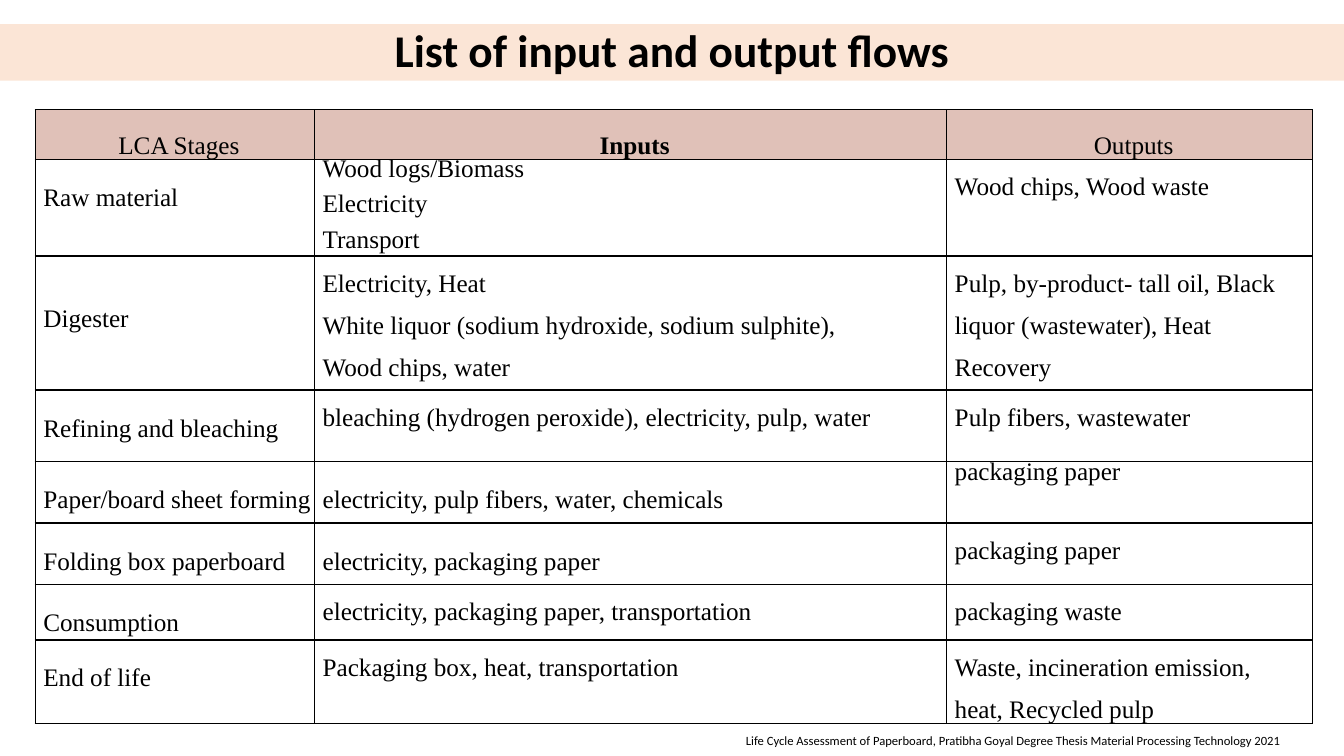
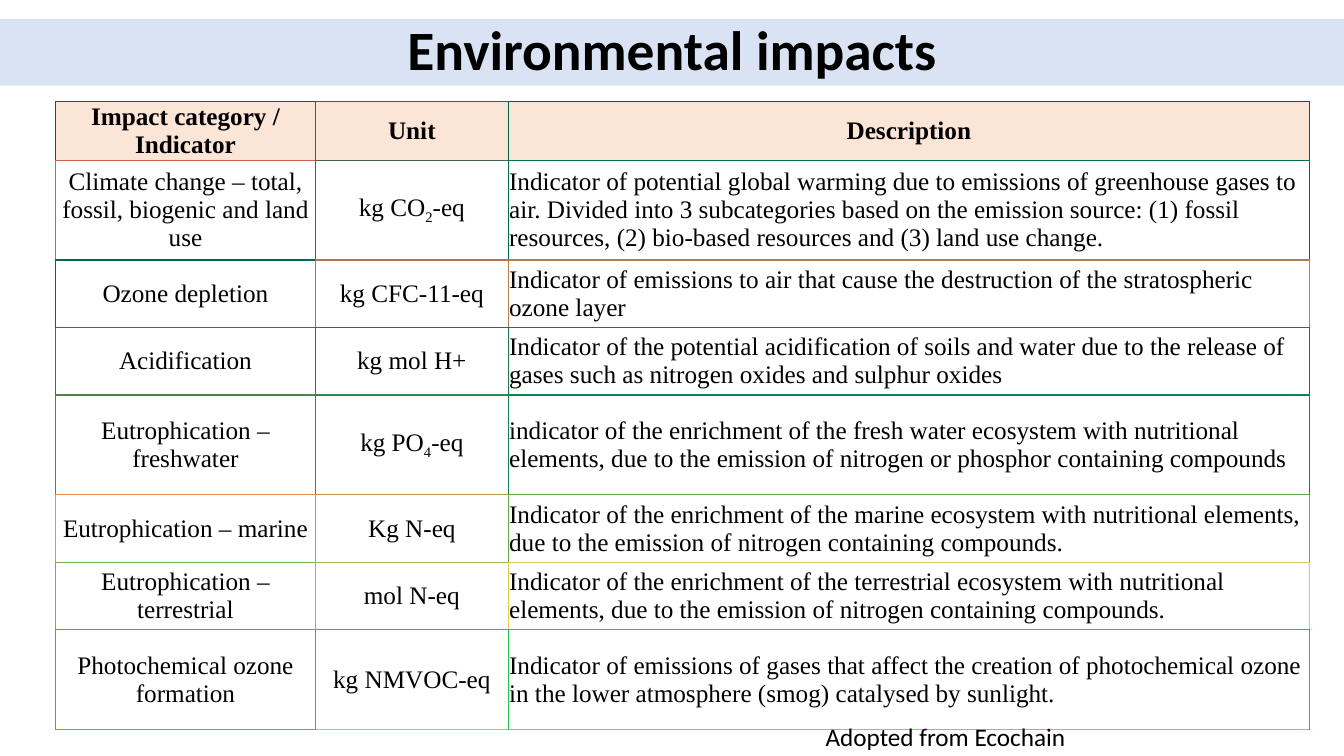
import dataclasses

import lxml.etree
import pptx
import pptx.dml.color
import pptx.enum.text
import pptx.oxml.ns
import pptx.util

Inches = pptx.util.Inches
Align = pptx.enum.text.PP_ALIGN
Anchor = pptx.enum.text.MSO_ANCHOR

BLACK, WHITE = "000000", "FFFFFF"
PEACH, ROSE, PALE_BLUE = "FBE5D6", "E0C1B8", "DAE3F3"
TITLE_FONT, TABLE_FONT = "Calibri", "Times New Roman"


def color(value):
    return pptx.dml.color.RGBColor.from_string(value)


@dataclasses.dataclass
class Entry:
    """Text of one table cell: paragraphs split by line ends, subscripts between underscores."""
    text: str
    spacing: float = 1.5
    top: float = 0
    later_spacing: float = 1.5
    align: Align = Align.LEFT
    bold: bool = False


def lowered(text, top=0.28):
    return Entry(text, 0.84, top)


def heading(text, bold):
    return Entry(text, 0.76, 0.27, align=Align.CENTER, bold=bold)


class Deck:
    def __init__(self):
        self.presentation = pptx.Presentation()
        self.presentation.slide_width = Inches(13.33)
        self.presentation.slide_height = Inches(7.5)
        self.slide = None

    def add_slide(self, title, top, height, size, fill):
        """Start a slide whose title fills a full-width coloured band."""
        layout = self.presentation.slide_layouts[5]
        self.slide = self.presentation.slides.add_slide(layout)
        band = self.slide.shapes.title
        band.left, band.top = Inches(0), Inches(top)
        band.width, band.height = self.presentation.slide_width, Inches(height)
        band.fill.solid()
        band.fill.fore_color.rgb = color(fill)
        frame = band.text_frame
        frame.auto_size = pptx.enum.text.MSO_AUTO_SIZE.NONE
        frame.vertical_anchor = Anchor.MIDDLE
        paragraph = frame.paragraphs[0]
        paragraph.alignment = Align.CENTER
        paragraph.line_spacing = 0.9
        self.add_run(paragraph, title, size, TITLE_FONT, True)

    def add_run(self, paragraph, text, size, font, bold=False):
        run = paragraph.add_run()
        run.text = text
        run.font.size = pptx.util.Pt(size)
        run.font.name = font
        run.font.bold = bold
        run.font.color.rgb = color(BLACK)
        return run

    def add_source(self, text, left, top, width, height, size):
        box = self.slide.shapes.add_textbox(
            Inches(left), Inches(top), Inches(width), Inches(height))
        box.text_frame.word_wrap = True
        box.text_frame.auto_size = pptx.enum.text.MSO_AUTO_SIZE.SHAPE_TO_FIT_TEXT
        self.add_run(box.text_frame.paragraphs[0], text, size, TITLE_FONT)

    def add_table(self, left, top, widths, heights):
        frame = self.slide.shapes.add_table(
            len(heights), len(widths), Inches(left), Inches(top),
            Inches(sum(widths)), Inches(sum(heights)))
        table = frame.table
        table.first_row = table.horz_banding = False
        for column, width in zip(table.columns, widths):
            column.width = Inches(width)
        for row, height in zip(table.rows, heights):
            row.height = Inches(height)
        return table

    def fill_cell(self, cell, entry, fill, borders, margins, anchor=Anchor.TOP):
        """Margins run left, top, right, bottom; borders map a side to colour and points."""
        self.add_borders(cell, borders)
        cell.fill.solid()
        cell.fill.fore_color.rgb = color(fill)
        (cell.margin_left, cell.margin_top,
         cell.margin_right, cell.margin_bottom) = map(Inches, margins)
        cell.vertical_anchor = anchor
        for index, line in enumerate(entry.text.split("\n")):
            frame = cell.text_frame
            paragraph = frame.add_paragraph() if index else frame.paragraphs[0]
            paragraph.alignment = entry.align
            paragraph.line_spacing = entry.later_spacing if index else entry.spacing
            for part, text in enumerate(line.split("_")):
                run = self.add_run(paragraph, text, 18, TABLE_FONT, entry.bold)
                if part % 2:
                    run.font._element.set("baseline", "-25000")

    def add_borders(self, cell, borders):
        properties = cell._tc.get_or_add_tcPr()
        name = pptx.oxml.ns.qn
        for side in "LRTB":
            value, points = borders[side]
            line = lxml.etree.SubElement(
                properties, name("a:ln" + side), w=str(pptx.util.Pt(points)))
            solid = lxml.etree.SubElement(line, name("a:solidFill"))
            lxml.etree.SubElement(solid, name("a:srgbClr"), val=value)


FLOWS = [
    [heading("LCA Stages", False), heading("Inputs", True), heading("Outputs", False)],
    [lowered("Raw material"),
     Entry("Wood logs/Biomass\nElectricity\nTransport", 0.84, later_spacing=1.28),
     Entry("Wood chips, Wood waste")],
    [lowered("Digester", 0.52),
     Entry("Electricity, Heat\n"
           "White liquor (sodium hydroxide, sodium sulphite), Wood chips, water"),
     Entry("Pulp, by-product- tall oil, Black liquor (wastewater), Heat Recovery")],
    [lowered("Refining and bleaching"),
     Entry("bleaching (hydrogen peroxide), electricity, pulp, water"),
     Entry("Pulp fibers, wastewater")],
    [lowered("Paper/board sheet forming"),
     lowered("electricity, pulp fibers, water, chemicals"),
     lowered("packaging paper", 0)],
    [lowered("Folding box paperboard"),
     lowered("electricity, packaging paper"),
     Entry("packaging paper")],
    [lowered("Consumption"),
     Entry("electricity, packaging paper, transportation"),
     Entry("packaging waste")],
    [lowered("End of life"),
     Entry("Packaging box, heat, transportation"),
     Entry("Waste, incineration emission, heat, Recycled pulp")],
]

IMPACTS = [
    ("Impact category / Indicator", "Unit", "Description"),
    ("Climate change – total, fossil, biogenic and land use", "kg CO_2_-eq",
     "Indicator of potential global warming due to emissions of greenhouse gases to air. "
     "Divided into 3 subcategories based on the emission source: (1) fossil resources, "
     "(2) bio-based resources and (3) land use change."),
    ("Ozone depletion", "kg CFC-11-eq",
     "Indicator of emissions to air that cause the destruction of the stratospheric "
     "ozone layer"),
    ("Acidification", "kg mol H+",
     "Indicator of the potential acidification of soils and water due to the release of "
     "gases such as nitrogen oxides and sulphur oxides"),
    ("Eutrophication – freshwater", "kg PO_4_-eq",
     "indicator of the enrichment of the fresh water ecosystem with nutritional elements, "
     "due to the emission of nitrogen or phosphor containing compounds"),
    ("Eutrophication – marine", "Kg N-eq",
     "Indicator of the enrichment of the marine ecosystem with nutritional elements, "
     "due to the emission of nitrogen containing compounds."),
    ("Eutrophication – terrestrial", "mol N-eq",
     "Indicator of the enrichment of the terrestrial ecosystem with nutritional elements, "
     "due to the emission of nitrogen containing compounds."),
    ("Photochemical ozone formation", "kg NMVOC-eq",
     "Indicator of emissions of gases that affect the creation of photochemical ozone in "
     "the lower atmosphere (smog) catalysed by sunlight."),
]

# Left and top border colour of each cell; the last row closes the table.
IMPACT_BORDERS = [
    ("40414D", "604E4D", "005D4D"),
    ("D05F4D", "40654D", "006C4D"),
    ("006C4D", "B0734D", "B07F4D"),
    ("207C4D", "20744C", "20744C"),
    ("50834C", "30884C", "10844C"),
    ("F08B4C", "C0944C", "60A94C"),
    ("70B44C", "A0BA4C", "E0CB4C"),
    ("10CC4C", "10CC4C", "20C54C"),
    ("10DB4C", "90DC4C", "60E54C"),
]


def add_flows_slide(deck):
    deck.add_slide("List of input and output flows", 0.24, 0.56, 32.4, PEACH)
    table = deck.add_table(0.35, 1.09, (2.77, 6.27, 3.63),
                           (0.49, 0.96, 1.33, 0.71, 0.61, 0.61, 0.55, 0.83))
    borders = dict.fromkeys("LRTB", (BLACK, 1))
    right_margins = (0, 0.6, 0.2)
    for row, entries in enumerate(FLOWS):
        for column, entry in enumerate(entries):
            right = right_margins[column] if row else 0
            deck.fill_cell(table.cell(row, column), entry, WHITE if row else ROSE,
                           borders, (0.08, entry.top, right, 0))
    deck.add_source("Life Cycle Assessment of Paperboard, Pratibha Goyal Degree Thesis "
                    "Material Processing Technology 2021", 7.3, 7.22, 5.71, 0.25, 9)


def add_impacts_slide(deck):
    deck.add_slide("Environmental impacts", 0.19, 0.66, 39.6, PALE_BLUE)
    table = deck.add_table(0.55, 1.01, (2.58, 1.91, 7.95),
                           (0.58, 0.99, 0.67, 0.67, 0.99, 0.67, 0.67, 0.99))
    for row, texts in enumerate(IMPACTS):
        for column, text in enumerate(texts):
            own = IMPACT_BORDERS[row][column]
            last = column == len(texts) - 1
            right = (own, 0.75) if last else (IMPACT_BORDERS[row][column + 1], 1)
            borders = {"L": (own, 1), "T": (own, 1), "R": right,
                       "B": (IMPACT_BORDERS[row + 1][column], 1)}
            align = Align.LEFT if row and last else Align.CENTER
            entry = Entry(text, 1, align=align, bold=row == 0)
            deck.fill_cell(table.cell(row, column), entry, WHITE if row else PEACH,
                           borders, (0.01,) * 4, Anchor.MIDDLE)
    deck.add_source("Adopted from Ecochain", 8.09, 7.11, 4.33, 0.4, 18)


def main():
    deck = Deck()
    add_flows_slide(deck)
    add_impacts_slide(deck)
    deck.presentation.save("out.pptx")


if __name__ == "__main__":
    main()
